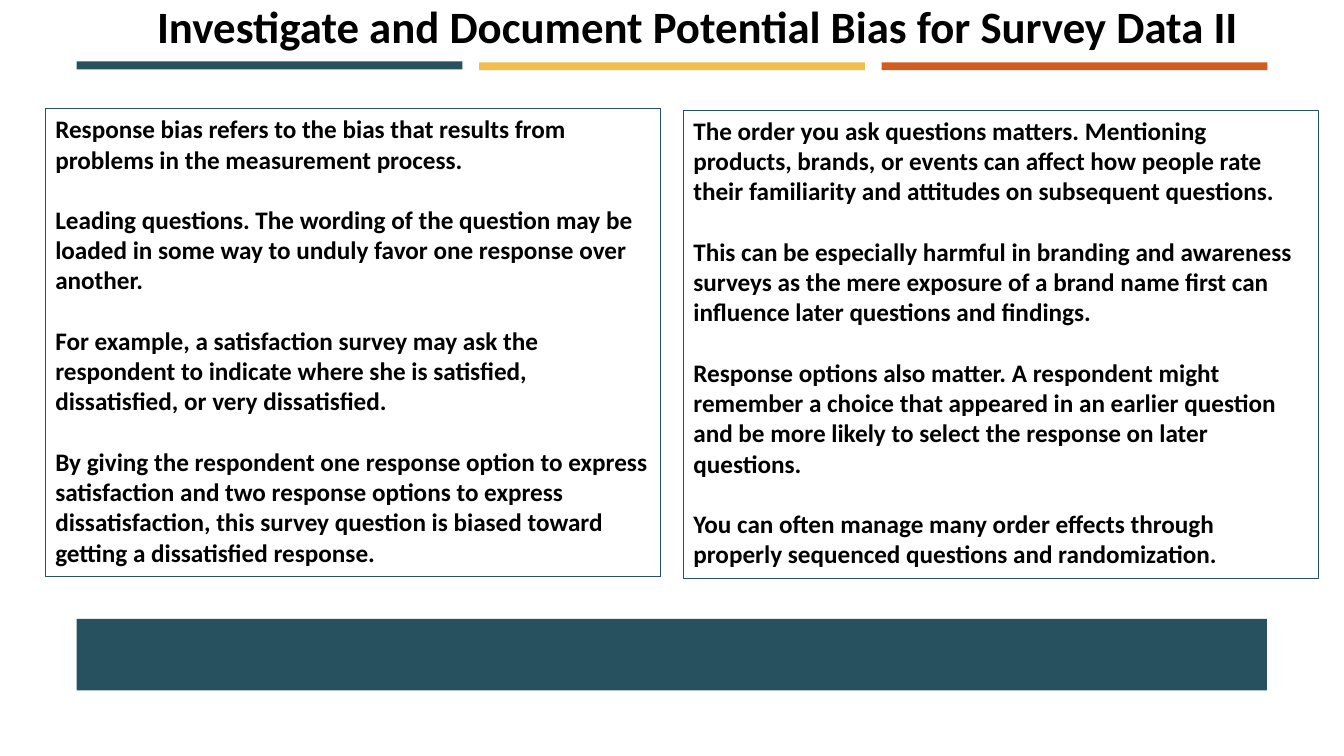
from pptx import Presentation
from pptx.dml.color import RGBColor
from pptx.enum.shapes import MSO_SHAPE as Shape
from pptx.enum.text import MSO_ANCHOR as Anchor, MSO_AUTO_SIZE as AutoSize, PP_ALIGN as Align
from pptx.util import Pt

TEAL = RGBColor(0x27, 0x51, 0x5E)
GOLD = RGBColor(0xF2, 0xBF, 0x4E)
ORANGE = RGBColor(0xD3, 0x5C, 0x20)
BLACK = RGBColor(0, 0, 0)

TITLE = "Investigate and Document Potential Bias for Survey Data II"
RESPONSE_BIAS = [
    "Response bias refers to the bias that results from problems in the measurement process.",
    "Leading questions. The wording of the question may be loaded in some way to unduly favor "
    "one response over another.",
    "For example, a satisfaction survey may ask the respondent to indicate where she is satisfied, "
    "dissatisfied, or very dissatisfied.",
    "By giving the respondent one response option to express satisfaction and two response options "
    "to express dissatisfaction, this survey question is biased toward getting a dissatisfied response.",
]
ORDER_EFFECTS = [
    "The order you ask questions matters. Mentioning products, brands, or events can affect how "
    "people rate their familiarity and attitudes on subsequent questions.",
    "This can be especially harmful in branding and awareness surveys as the mere exposure of a "
    "brand name first can influence later questions and findings.",
    "Response options also matter. A respondent might remember a choice that appeared in an earlier "
    "question and be more likely to select the response on later questions.",
    "You can often manage many order effects through properly sequenced questions and randomization.",
]


class SurveySlide:
    font_name = "Calibri"
    title_size = 32
    body_size = 18
    paragraph_gap = 21.6

    def __init__(self, presentation):
        self.slide = presentation.slides.add_slide(presentation.slide_layouts[6])

    def rectangle(self, left, top, width, height):
        shape = self.slide.shapes.add_shape(
            Shape.RECTANGLE, Pt(left), Pt(top), Pt(width), Pt(height))
        shape.shadow.inherit = False
        return shape

    def bar(self, left, top, width, height, color):
        shape = self.rectangle(left, top, width, height)
        shape.fill.solid()
        shape.fill.fore_color.rgb = color
        shape.line.fill.background()

    def add_texts(self, frame, texts, size):
        frame.vertical_anchor = Anchor.TOP
        for index, text in enumerate(texts):
            paragraph = frame.add_paragraph() if index else frame.paragraphs[0]
            paragraph.alignment = Align.LEFT
            if index:
                paragraph.space_before = Pt(self.paragraph_gap)
            run = paragraph.add_run()
            run.text = text
            run.font.name = self.font_name
            run.font.size = Pt(size)
            run.font.bold = True
            run.font.color.rgb = BLACK

    def title(self, left, top, width, height, text):
        shape = self.slide.shapes.add_textbox(Pt(left), Pt(top), Pt(width), Pt(height))
        shape.text_frame.word_wrap = False
        shape.text_frame.auto_size = AutoSize.SHAPE_TO_FIT_TEXT
        self.add_texts(shape.text_frame, [text], self.title_size)

    def panel(self, left, top, width, height, texts):
        shape = self.rectangle(left, top, width, height)
        shape.fill.background()
        shape.line.color.rgb = TEAL
        shape.line.width = Pt(0.75)
        shape.text_frame.word_wrap = True
        shape.text_frame.auto_size = AutoSize.SHAPE_TO_FIT_TEXT
        self.add_texts(shape.text_frame, texts, self.body_size)


def main():
    presentation = Presentation()
    presentation.slide_width = Pt(960)
    presentation.slide_height = Pt(540)
    survey = SurveySlide(presentation)
    survey.bar(54.7, 442, 850.3, 51.2, TEAL)
    for column, (color, top) in enumerate([(TEAL, 43.9), (GOLD, 44.5), (ORANGE, 44.5)]):
        survey.bar(54.7 + column * 287.5, top, 275.6, 5.6, color)
    survey.title(105.1, -4.3, 794.2, 46, TITLE)
    survey.panel(32.4, 77.6, 439.4, 334.2, RESPONSE_BIAS)
    survey.panel(488.2, 78.8, 453.6, 334.2, ORDER_EFFECTS)
    presentation.save("out.pptx")


if __name__ == "__main__":
    main()
